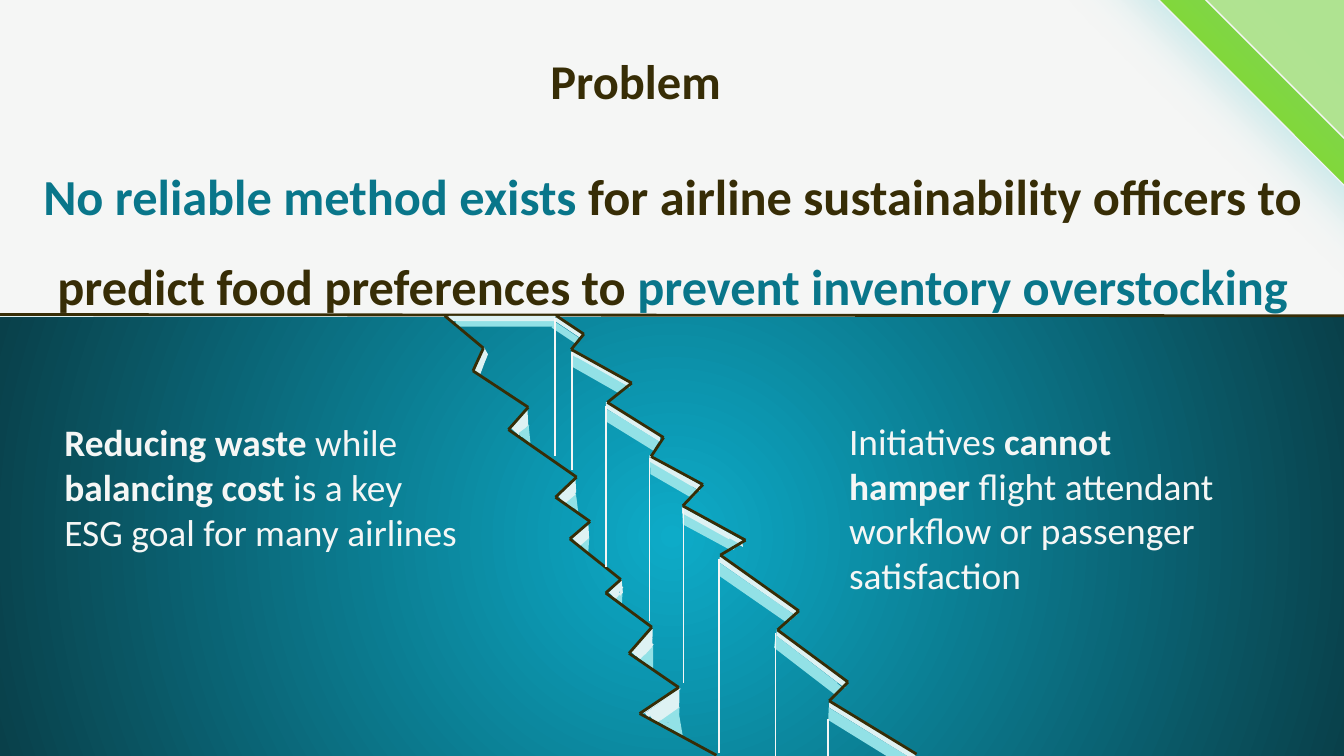
from itertools import pairwise

from pptx import Presentation
from pptx.dml.color import RGBColor
from pptx.enum.shapes import MSO_CONNECTOR as CONN, MSO_SHAPE as SHAPE
from pptx.enum.text import MSO_ANCHOR as ANCHOR, PP_ALIGN as ALIGN
from pptx.oxml import parse_xml
from pptx.oxml.ns import nsdecls, qn
from pptx.util import Pt


class Theme:
    paper = "F5F6F5"
    ink = "372D06"
    teal = "09768A"
    glow = "64CBD2"
    green = "83D837"
    pale = "DEF2F3"
    aqua = "92E1E6"
    deep = ("0DABC8", "09404A")
    font = "Calibri"
    title, claim, body = 26, 27, 20
    edge, hair = 1.5, 0.75


R, P, T = SHAPE.RECTANGLE, SHAPE.PARALLELOGRAM, SHAPE.RIGHT_TRIANGLE

# Rims of the crack, top to bottom
LEFT_RIM = [(238.3, 169.2), (259, 186.5), (253.4, 198.7), (283, 218.2), (272.4, 230.2),
            (308.9, 255.6), (297.6, 266.4), (316.1, 279.4), (305.3, 288.7), (332.6, 310.5),
            (324.5, 317.7), (349.2, 336), (337, 350), (363.6, 368.3), (342.7, 382.3),
            (383.8, 404.6)]
RIGHT_RIM = [(298.1, 169.2), (312.8, 179), (306, 187.2), (338.4, 205.2), (325.4, 215.6),
             (355.5, 234.4), (348.8, 244.6), (376.6, 259.6), (365.8, 271), (399.4, 289.4),
             (385.9, 297.4), (428, 327.3), (416.5, 337.5), (454.3, 365.4), (444.2, 375.5),
             (491, 404)]

# Treads: x, y, width, rotation
AQUA_TREADS = [(302.4, 197.3, 33.1, 29.6), (320.4, 227.5, 34.6, 31.7), (344.9, 254.2, 29.5, 30.1),
               (362.2, 281.5, 32.4, 28.3), (379.4, 314.6, 48.2, 34.7), (409, 353.5, 45.4, 37.6),
               (438.5, 392.4, 52.6, 31.7)]
PALE_TREADS = [(303.1, 195.8, 37.4, 29.6), (321.1, 224.6, 36, 32.1), (344.9, 252, 33.1, 30.3),
               (362.2, 280.8, 38.9, 29), (380.2, 312.5, 51.8, 34.9), (410.4, 351.4, 48.2, 37.4),
               (439.2, 390.2, 56.2, 31.8)]

# Vertical risers: x, top, bottom
RISERS = [(306.4, 188.6, 252), (324.7, 217.4, 303.8), (347.8, 245.5, 332.6),
          (366.1, 272.9, 365.8), (385.2, 299.5, 403.2), (415.4, 339.1, 405),
          (443.5, 385.2, 405), (297.4, 170.6, 244.1)]

# Facets: kind, x, y, width, height, rotation, slant
TOP_AQUA = [(R, 244.1, 172.1, 53.3, 2.9), (R, 295.2, 176.4, 15.1, 3.6, 33.7)]
TOP_PALE = [(R, 240.5, 169.2, 56.9, 2.9), (R, 295.9, 174.2, 16.6, 2.2, 33.7)]
TREAD_ENDS = [(R, 306, 198.7, 30.2, 4.3, 29.5), (R, 324, 228.2, 30.2, 4.3, 31.8),
              (R, 369.4, 261.4, 3.6, 4.3, 31.4), (R, 389.5, 289.4, 5, 4.3, 29.1),
              (R, 419.8, 327.6, 5, 4.3, 35.1), (R, 445.7, 366.5, 5, 4.3, 37.2)]
LOWER_AQUA = [
    (P, 303.8, 265.7, 7.2, 5.8, 323.5, 0.65), (R, 303.8, 267.1, 4.3, 4.3, 50),
    (T, 331.2, 316.8, 4.3, 5.8, 39.3), (T, 346.3, 347, 7.2, 10.1, 36.1),
    (T, 342, 345.6, 7.9, 7.2, 272.1), (T, 342.7, 352.8, 3.6, 2.9, 175.1),
    (T, 359.3, 379.4, 10.1, 13, 28), (T, 353.5, 376.6, 8.6, 12.2, 272.8),
    (T, 352.8, 386.6, 5, 3.6, 176.4)]
LEFT_PALE = [
    (P, 256.3, 187.9, 6.5, 3.6, 294.5, 0.72), (R, 255.6, 190.1, 3.6, 10.1, 20.6),
    (P, 277.2, 221.8, 8.6, 7.2, 321.1, 0.72), (R, 276.5, 222.5, 3.6, 9.4, 41.9),
    (R, 277.9, 226.8, 2.9, 6.5, 50.4),
    (P, 303.1, 258.5, 7.9, 5.8, 321.2, 0.72), (R, 301.7, 258.5, 2.9, 9.4, 50.4),
    (R, 302.4, 262.1, 3.6, 7.9, 50.3),
    (P, 309.6, 283, 8.6, 6.5, 321.3, 0.72), (R, 308.9, 283, 3.6, 7.9, 50.3),
    (R, 309.6, 287.3, 3.6, 5, 50.4),
    (P, 329, 312.5, 7.2, 5, 311.2, 0.95), (R, 328.3, 312.5, 3.6, 7.2, 45),
    (R, 329, 316.8, 2.2, 4.3, 41.8),
    (P, 340.6, 340.6, 13.7, 6.5, 312.6, 1.15), (R, 342, 339.1, 3.6, 13, 42.6),
    (R, 343.4, 342.7, 3.6, 10.8, 42.6),
    (P, 349.9, 373.7, 18, 7.9, 324.9, 0.72), (R, 354.2, 363.6, 0.7, 23.8, 56.3),
    (R, 349.9, 373.7, 2.9, 12.2, 55.3), (R, 350.6, 378.7, 5.8, 7.2, 52),
    (R, 348.5, 383, 4.3, 2.9, 51.9)]
UPPER_AQUA = [(T, 312.5, 289.4, 5.8, 5.8, 48.5), (T, 306, 267.8, 6.5, 5, 45.2),
              (T, 280.1, 229, 7.2, 7.2, 39.2), (T, 280.1, 227.5, 2.9, 7.2, 53.5)]


def rgb(color):
    return RGBColor.from_string(color)


def add_facet(s, color, kind, x, y, w, h, rot=0, adj=None, flip=False):
    sp = s.shapes.add_shape(kind, Pt(x), Pt(y), Pt(w), Pt(h))
    sp.shadow.inherit = False
    sp.rotation = rot
    sp.fill.solid()
    sp.fill.fore_color.rgb = rgb(color)
    sp.line.fill.background()
    if adj is not None:
        sp.adjustments[0] = adj
    if flip:
        sp._element.spPr.find(qn("a:xfrm")).set("flipH", "1")
    return sp


def add_line(s, start, end, color, width):
    ln = s.shapes.add_connector(CONN.STRAIGHT, *map(Pt, start + end))
    ln.line.color.rgb = rgb(color)
    ln.line.width = Pt(width)
    ln._element.spPr.append(parse_xml(f"<a:effectLst {nsdecls('a')}/>"))


def add_text(s, box, runs, size, **fmt):
    tf = s.shapes.add_textbox(*map(Pt, box)).text_frame
    frame = {"word_wrap": True, "vertical_anchor": ANCHOR.TOP}
    frame |= {f"margin_{side}": Pt(7.2) for side in ("left", "top", "right", "bottom")}
    for name, value in frame.items():
        setattr(tf, name, value)
    p = tf.paragraphs[0]
    for name, value in fmt.items():
        setattr(p, name, value)
    for text, color, bold in runs:
        r = p.add_run()
        r.text = text
        for name, value in {"name": Theme.font, "size": Pt(size), "bold": bold}.items():
            setattr(r.font, name, value)
        r.font.color.rgb = rgb(color)


def add_corner(s, color, x, y, rot, flip=False, alpha=None):
    sp = add_facet(s, color, SHAPE.ROUNDED_RECTANGLE, x, y, 701.3, 701.3, rot, 0.17, flip)
    sp.line.color.rgb = rgb(Theme.paper)
    sp.line.width = Pt(Theme.hair)
    if alpha:
        clr = sp._element.spPr.find(qn("a:solidFill"))[0]
        clr.append(parse_xml(f'<a:alpha {nsdecls("a")} val="{alpha * 1000}"/>'))
    sp._element.spPr.find(qn("a:effectLst")).append(parse_xml(
        f'<a:outerShdw {nsdecls("a")} blurRad="{Pt(27)}" dist="{Pt(10.5)}" dir="5400000" '
        f'algn="t" rotWithShape="0"><a:srgbClr val="{Theme.glow}">'
        '<a:alpha val="30000"/></a:srgbClr></a:outerShdw>'))


def add_water(s):
    add_facet(s, Theme.pale, R, 0, 168.5, 720, 236.5)
    sp = add_facet(s, Theme.deep[0], R, 0, 169.9, 720, 235.1)
    sp.fill.gradient()
    for stop, color in zip(sp.fill.gradient_stops, Theme.deep):
        stop.color.rgb = rgb(color)
    grad = sp._element.spPr.find(qn("a:gradFill"))
    grad.replace(grad.find(qn("a:lin")), parse_xml(
        f'<a:path {nsdecls("a")} path="circle">'
        '<a:fillToRect l="50000" t="50000" r="50000" b="50000"/></a:path>'))


def add_crack(s):
    for facets, color in ((TOP_AQUA, Theme.aqua), (TOP_PALE, Theme.pale)):
        for facet in facets:
            add_facet(s, color, *facet)
    for treads, color, h in ((AQUA_TREADS, Theme.aqua, 5.8), (PALE_TREADS, Theme.pale, 2.9)):
        for x, y, w, rot in treads:
            add_facet(s, color, P, x, y, w, h, rot, 0.6, flip=True)
    for facets, color in ((TREAD_ENDS + LOWER_AQUA, Theme.aqua), (LEFT_PALE, Theme.pale),
                          (UPPER_AQUA, Theme.aqua)):
        for facet in facets:
            add_facet(s, color, *facet)
    for rim in (LEFT_RIM, RIGHT_RIM):
        for start, end in pairwise(rim):
            add_line(s, start, end, Theme.ink, Theme.edge)
    for x, top, bottom in RISERS:
        add_line(s, (x, top), (x, bottom), Theme.paper, Theme.hair)


def main():
    prs = Presentation()
    prs.slide_width, prs.slide_height = Pt(720), Pt(405)
    s = prs.slides.add_slide(prs.slide_layouts[6])
    s.background.fill.solid()
    s.background.fill.fore_color.rgb = rgb(Theme.paper)

    # Backdrop
    add_corner(s, Theme.green, 661.7, -455, 315)
    add_corner(s, Theme.paper, 640.8, -501.1, 45, flip=True, alpha=42)
    add_water(s)

    # Heading and claim
    add_text(s, (273.6, 20.2, 133.9, 45.4), [("Problem", Theme.ink, True)],
             Theme.title, alignment=ALIGN.CENTER)
    add_text(s, (3.6, 64.8, 713.5, 96.5),
             [("No reliable method exists ", Theme.teal, True),
              ("for airline sustainability officers to predict food preferences to ",
               Theme.ink, True),
              ("prevent inventory overstocking", Theme.teal, True)],
             Theme.claim, alignment=ALIGN.CENTER, line_spacing=1.5)

    # Surface and crack
    add_line(s, (0, 168.5), (720, 169.2), Theme.ink, Theme.edge)
    add_crack(s)

    # Both sides of the crack
    add_text(s, (27.4, 217.4, 230.4, 87.1),
             [("Reducing waste ", Theme.paper, True), ("while ", Theme.paper, False),
              ("balancing cost ", Theme.paper, True),
              ("is a key ESG goal for many airlines", Theme.paper, False)], Theme.body)
    add_text(s, (447.8, 216.7, 219.6, 111.6),
             [("Initiatives ", Theme.paper, False), ("cannot hamper", Theme.paper, True),
              (" flight attendant workflow or passenger satisfaction", Theme.paper, False)],
             Theme.body)
    prs.save("out.pptx")


if __name__ == "__main__":
    main()
